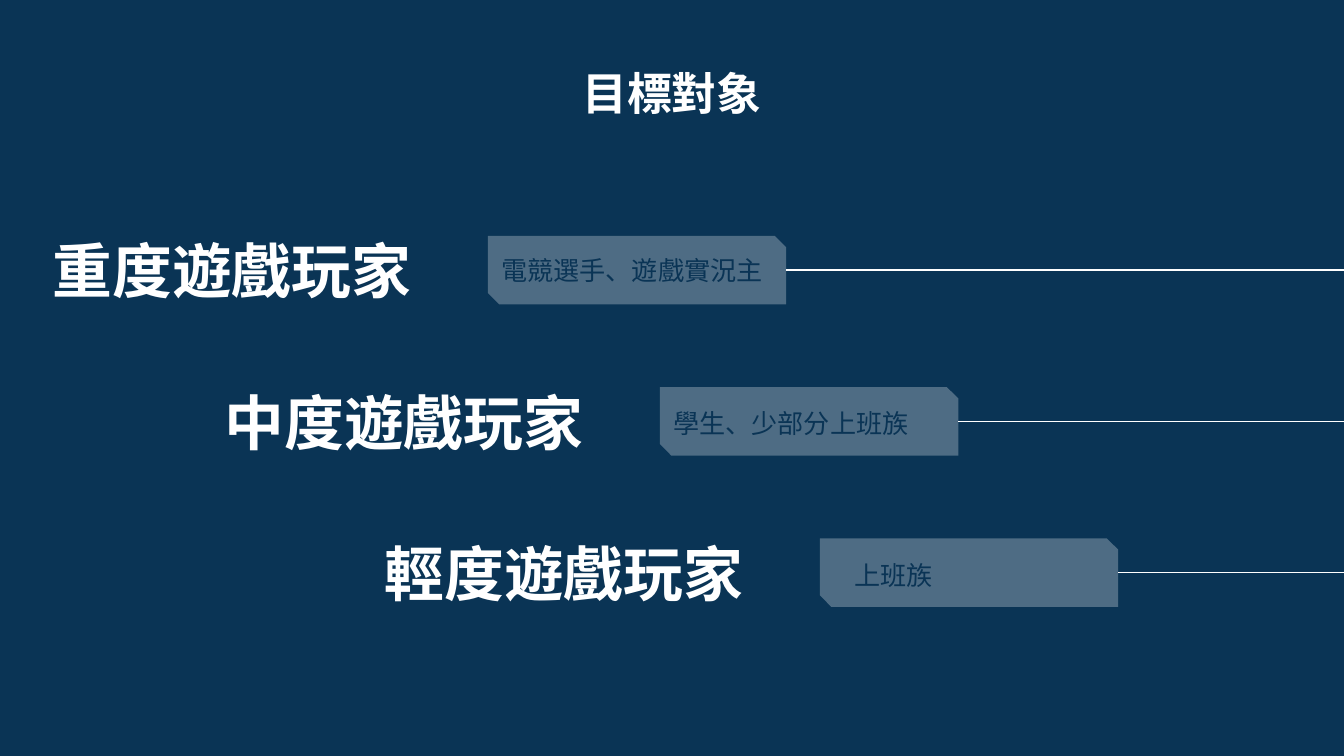
"""Build the target audience slide: three player groups stepping down to the right."""
import pptx
import pptx.dml.color
import pptx.enum.shapes
import pptx.enum.text
import pptx.oxml
import pptx.oxml.ns
import pptx.util

WIDTH = 10
HEIGHT = WIDTH * 9 / 16
FONT, NAVY, WHITE = "Noto Sans CJK SC", "0A3455", "FFFFFF"
TITLE = "目標對象"
GROUPS = [
    {"name": "重度遊戲玩家", "members": "電競選手、遊戲實況主", "left": 3.63, "indent": 0, "drop": 0},
    {"name": "中度遊戲玩家", "members": "學生、少部分上班族", "left": 4.91, "indent": 0, "drop": 0.01},
    {"name": "輕度遊戲玩家", "members": "上班族", "left": 6.1, "indent": 0.16, "drop": 0.02},
]
FIRST_CENTRE, ROW_PITCH = 2.01, HEIGHT / 5
TAG_WIDTH, TAG_HEIGHT, TAG_OPACITY = 2.22, 0.51, 28
NAME_WIDTH, NAME_HEIGHT, NAME_GAP = 2.91, 0.83, 0.47
MEMBERS_HEIGHT = 0.4

ALIGN = pptx.enum.text.PP_ALIGN
ANCHOR = pptx.enum.text.MSO_ANCHOR
inches = pptx.util.Inches


def colour(value):
    return pptx.dml.color.RGBColor.from_string(value)


def add_text(slide, text, box, size, ink, align, anchor=ANCHOR.MIDDLE, bold=False):
    shape = slide.shapes.add_textbox(*map(inches, box))
    frame = shape.text_frame
    frame.word_wrap = True
    frame.vertical_anchor = anchor
    frame.margin_left = frame.margin_right = inches(0.1)
    frame.margin_top = frame.margin_bottom = inches(0.1)
    paragraph = frame.paragraphs[0]
    paragraph.alignment = align
    run = paragraph.add_run()
    run.text = text
    run.font.name, run.font.size, run.font.bold = FONT, pptx.util.Pt(size), bold
    run.font.color.rgb = colour(ink)
    east_asian = pptx.oxml.parse_xml(
        f'<a:ea {pptx.oxml.ns.nsdecls("a")} typeface="{FONT}"/>')
    run.font._element.find(pptx.oxml.ns.qn("a:latin")).addnext(east_asian)


def add_tag(slide, box):
    tag = slide.shapes.add_shape(
        pptx.enum.shapes.MSO_SHAPE.SNIP_2_DIAG_RECTANGLE, *map(inches, box))
    tag.adjustments[0], tag.adjustments[1] = 0, 0.167
    tag.shadow.inherit = False
    tag.line.fill.background()
    tag.fill.solid()
    tag.fill.fore_color.rgb = colour(WHITE)
    tag._element.spPr.find(".//" + pptx.oxml.ns.qn("a:srgbClr")).append(
        pptx.oxml.parse_xml(
            f'<a:alpha {pptx.oxml.ns.nsdecls("a")} val="{TAG_OPACITY * 1000}"/>'))


def add_line(slide, start, end, y):
    line = slide.shapes.add_connector(
        pptx.enum.shapes.MSO_CONNECTOR.STRAIGHT, *map(inches, (start, y, end, y)))
    line.line.color.rgb = colour(WHITE)
    line.line.width = pptx.util.Pt(0.75)
    line._element.spPr.append(
        pptx.oxml.parse_xml(f'<a:effectLst {pptx.oxml.ns.nsdecls("a")}/>'))


def add_group(slide, group, centre):
    left = group["left"]
    right = left + TAG_WIDTH
    add_line(slide, WIDTH, right, centre)
    add_text(slide, group["name"],
             (left - NAME_GAP - NAME_WIDTH, centre - NAME_HEIGHT / 2, NAME_WIDTH, NAME_HEIGHT),
             32, WHITE, ALIGN.RIGHT, bold=True)
    add_tag(slide, (left, centre - TAG_HEIGHT / 2, TAG_WIDTH, TAG_HEIGHT))
    text_left = left + group["indent"]
    text_top = centre - MEMBERS_HEIGHT / 2 + group["drop"]
    add_text(slide, group["members"],
             (text_left, text_top, right - text_left, MEMBERS_HEIGHT),
             14, NAVY, ALIGN.LEFT)


def main():
    presentation = pptx.Presentation()
    presentation.slide_width, presentation.slide_height = inches(WIDTH), inches(HEIGHT)
    slide = presentation.slides.add_slide(presentation.slide_layouts[6])
    slide.background.fill.solid()
    slide.background.fill.fore_color.rgb = colour(NAVY)
    add_text(slide, TITLE, (2.15, 0.39, 5.7, 1.03), 24, WHITE, ALIGN.CENTER,
             ANCHOR.TOP, bold=True)
    for row, group in enumerate(GROUPS):
        add_group(slide, group, FIRST_CENTRE + row * ROW_PITCH)
    presentation.save("out.pptx")


if __name__ == "__main__":
    main()
